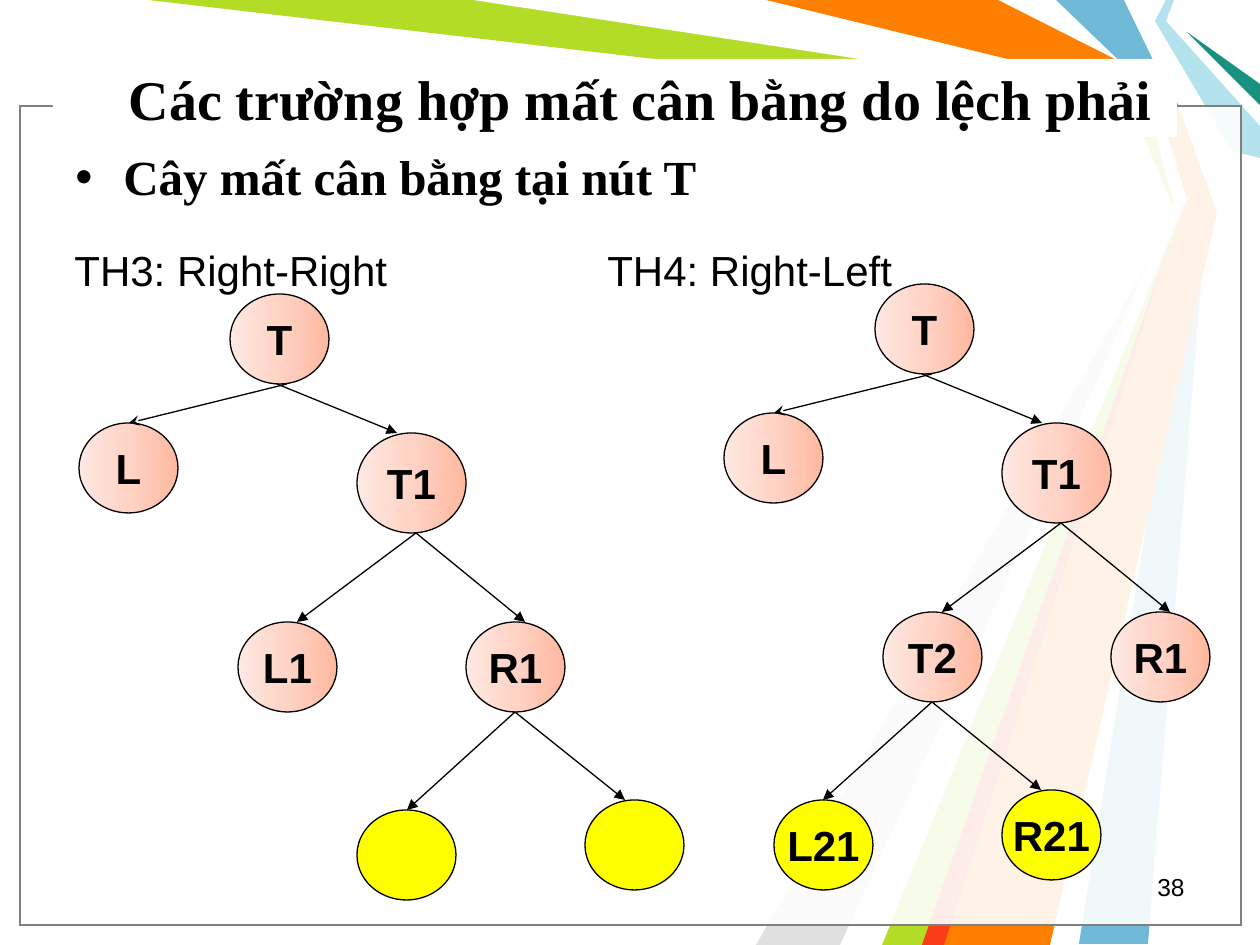
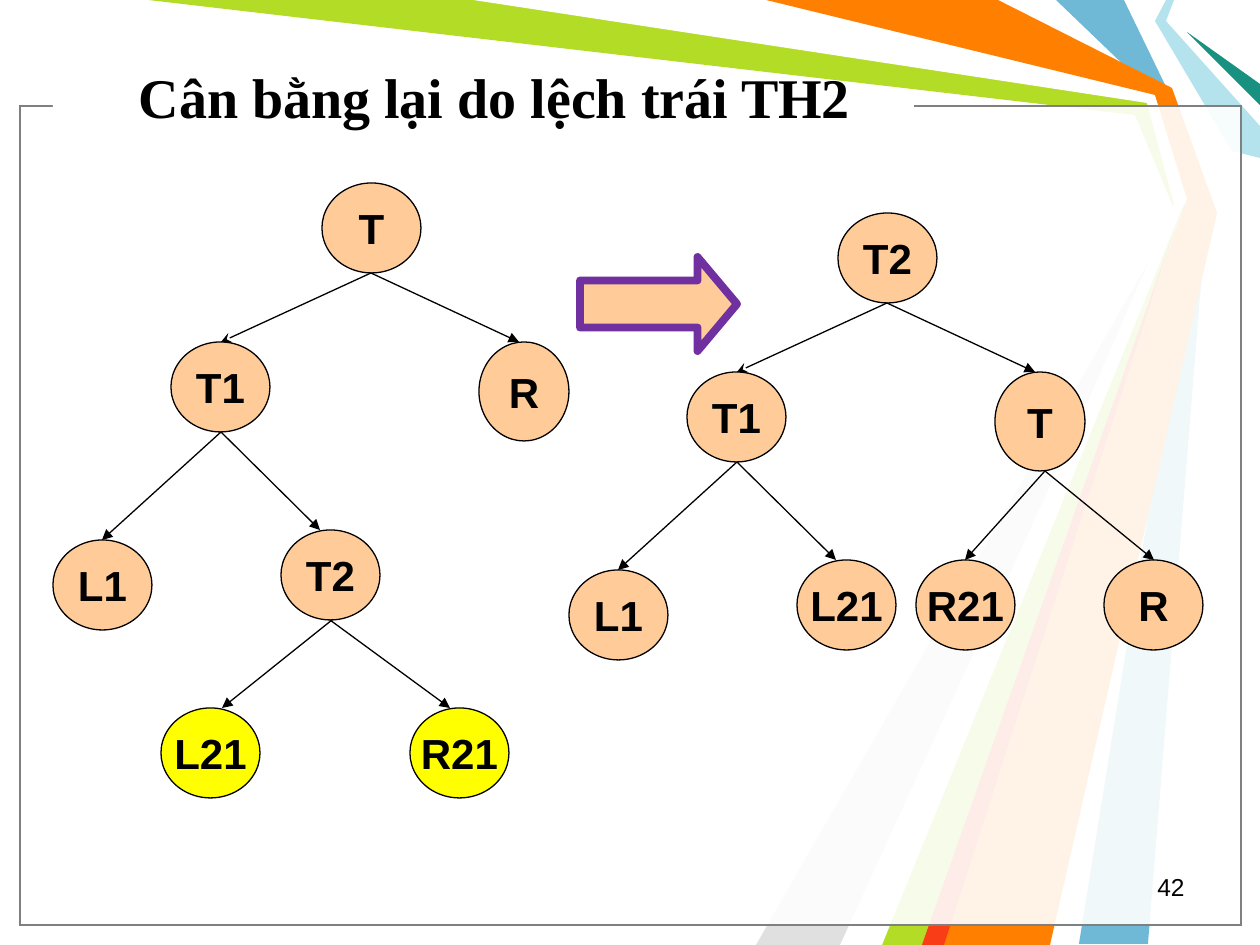
from copy import deepcopy

from lxml import etree
from pptx import Presentation
from pptx.dml.color import RGBColor
from pptx.enum.shapes import MSO_CONNECTOR, MSO_SHAPE
from pptx.enum.text import MSO_ANCHOR, MSO_AUTO_SIZE, PP_ALIGN
from pptx.oxml.ns import qn
from pptx.util import Emu, Pt

LINE = MSO_CONNECTOR.STRAIGHT
RECT, OVAL, ARROW = MSO_SHAPE.RECTANGLE, MSO_SHAPE.OVAL, MSO_SHAPE.RIGHT_ARROW
LEFT, CENTER, RIGHT = PP_ALIGN.LEFT, PP_ALIGN.CENTER, PP_ALIGN.RIGHT
MIDDLE = MSO_ANCHOR.MIDDLE
FIXED = MSO_AUTO_SIZE.NONE

PX = 914400 / 126
WIDE, HIGH = 1260, 945
SANS, SERIF = "Arial", "Times New Roman"
COLORS = {
    "black": "000000", "white": "FFFFFF", "grey": "808080", "silver": "E0E0E0",
    "blue": "6FB9D7", "green": "B3DC27", "cyan": "B4E3EE", "teal": "189180",
    "orange": "FF7F00", "red": "F93D17", "yellow": "FFFF00", "peach": "FFCC99",
    "purple": "7030A0", "pale": "FFE9E3", "pink": "FFD3C5", "coral": "FFB8A0",
}

# Ribbons of the backdrop, from back to front
RIBBONS = [
    ("blue", [(1124, 0), (1171, 97), (1207, 210), (1148, 944), (1079, 944),
              (1197, 210), (1155, 95), (1056, 0)]),
    ("green", [(148, 0), (483, 0), (1152, 98), (1187, 213), (935, 945),
               (872, 945), (1178, 218), (1135, 115)]),
    ("silver", [(840, 945), (1168, 228), (756, 945)]),
    ("white", [(473, 0), (1147, 103), (1174, 204), (851, 945), (882, 945),
               (1186, 199), (1155, 95), (756, 0)]),
    ("cyan", [(1166, 0), (1155, 21), (1232, 151), (1260, 158), (1260, 126),
              (1166, 21), (1174, 0)]),
    ("teal", [(1260, 105), (1187, 32), (1260, 84)]),
    ("orange", [(766, 0), (998, 0), (1172, 88), (1217, 213), (1050, 945),
                (924, 945), (1187, 199), (1155, 95)]),
    ("red", [(922, 945), (1174, 231), (944, 945)]),
]

# Trunks: node places, and links as parent, start x, child, end x
NODE = (99, 90)
HEAVY = [(230, 294, *NODE), (357, 433, 109, 100), (79, 423, *NODE),
         (466, 622, *NODE), (238, 622, *NODE)]
HEAVY_LINKS = [(0, 287, 2, 129), (0, 277, 1, 397), (1, 416, 3, 525), (1, 416, 4, 297)]
LIGHT = [(322, 183, *NODE), (479, 342, 90, 99), (171, 342, *NODE),
         (281, 530, *NODE), (53, 540, *NODE)]
LIGHT_LINKS = [(0, 371, 2, 221), (0, 371, 1, 519), (2, 221, 3, 320), (2, 221, 4, 102)]


def px(*sizes):
    return [Emu(round(size * PX)) for size in sizes]


def rgb(name):
    return RGBColor.from_string(COLORS[name])


def paint(shape, fill, line=None, width=0.75):
    shape.shadow.inherit = False
    shape.fill.solid()
    shape.fill.fore_color.rgb = rgb(fill)
    if line:
        shape.line.color.rgb = rgb(line)
        shape.line.width = Pt(width)
    else:
        shape.line.fill.background()


def fade(shape):
    """Blend from pale at the left to coral at the right."""
    shape.fill.gradient()
    shape.fill.gradient_angle = 0
    for stop, name in zip(shape.fill.gradient_stops, ("pale", "coral")):
        stop.color.rgb = rgb(name)
    first = shape.element.spPr.find(".//" + qn("a:gs"))
    mid = deepcopy(first)
    mid.set("pos", "50000")
    mid[0].set("val", COLORS["pink"])
    first.addnext(mid)


def style(frame, text, size, font=SANS, bold=False, align=LEFT):
    para = frame.paragraphs[0]
    para.text = text
    para.alignment = align
    for run in para.runs:
        run.font.size, run.font.name, run.font.bold = Pt(size), font, bold
        run.font.color.rgb = rgb("black")


def box(slide, place, text, size, **look):
    frame = slide.shapes.add_textbox(*px(*place)).text_frame
    frame.word_wrap = True
    style(frame, text, size, **look)
    return frame


def bullet(slide, text):
    frame = box(slide, (63, 136, 1134, 708), text, 28, font=SERIF, bold=True)
    frame.margin_top = px(11)[0]
    props = frame.paragraphs[0]._p.get_or_add_pPr()
    indent = px(48)[0]
    props.set("marL", str(indent))
    props.set("indent", str(-indent))
    etree.SubElement(props, qn("a:buFont"), typeface=SANS)
    etree.SubElement(props, qn("a:buChar"), char="•")


def node(slide, place, label, fill):
    oval = slide.shapes.add_shape(OVAL, *px(*place))
    paint(oval, "peach" if fill == "fade" else fill, "black")
    if fill == "fade":
        fade(oval)
    if label:
        frame = oval.text_frame
        frame.word_wrap = False
        frame.vertical_anchor = MIDDLE
        style(frame, label, 24, bold=True, align=CENTER)


def link(slide, start, end, head):
    line = slide.shapes.add_connector(LINE, *px(*start, *end))
    line.line.color.rgb = rgb("black")
    line.line.width = Pt(0.75)
    etree.SubElement(line.line._get_or_add_ln(), qn("a:tailEnd"), type=head)
    etree.SubElement(line.element.spPr, qn("a:effectLst"))


def tree(slide, trunk, links, leaves, labels, fill, tip, move=(0, 0)):
    """Draw a trunk with its two leaves, shifted by move."""
    dx, dy = move
    spots = trunk + [(*leaf, *NODE) for leaf in leaves]
    spots = [(x + dx, y + dy, w, h) for x, y, w, h in spots]
    for i, (spot, label) in enumerate(zip(spots, labels)):
        node(slide, spot, label, fill if i < len(trunk) else tip)
    for i, (up, x1, down, x2) in enumerate(links):
        base = spots[up][1] + spots[up][3]
        link(slide, (x1 + dx, base), (x2 + dx, spots[down][1]),
             "triangle" if i else "stealth")


def panel(slide, line):
    rect = slide.shapes.add_shape(RECT, *px(20, 106, 1221, 819))
    paint(rect, "white", line)
    color = rect.element.spPr.find(".//" + qn("a:srgbClr"))
    etree.SubElement(color, qn("a:alpha"), val="69000")


def backdrop(slide):
    """Draw the ribbons and frame, then hand them to the layout."""
    start = len(slide.shapes)
    for color, points in RIBBONS:
        pen = slide.shapes.build_freeform(*points[0], scale=PX)
        pen.add_line_segments(points[1:], close=True)
        paint(pen.convert_to_shape(), color)
    for line in ("black", "grey"):
        panel(slide, line)
    paint(slide.shapes.add_shape(RECT, *px(53, 93, 861, 21)), "white")
    shared = slide.slide_layout.shapes.element
    for i, shape in enumerate(list(slide.shapes)[start:]):
        shared.insert(2 + i, shape.element)


def page(deck, title, place, number):
    slide = deck.slides.add_slide(deck.slide_layouts[5])
    head = slide.shapes.title
    head.left, head.top, head.width, head.height = px(*place)
    frame = head.text_frame
    frame.auto_size = FIXED
    frame.vertical_anchor = MIDDLE
    style(frame, title, 32, font=SERIF, bold=True)
    box(slide, (903, 866, 294, 42), number, 14, align=RIGHT)
    return slide


def cases(deck):
    slide = page(deck, "Các trường hợp mất cân bằng do lệch phải",
                 (116, 59, 1061, 78), "38")
    paint(slide.shapes.title, "white")
    bullet(slide, "Cây mất cân bằng tại nút T")
    tree(slide, HEAVY, HEAVY_LINKS + [(3, 515, 6, 407), (3, 515, 5, 625)],
         [(585, 800), (357, 810)], ["T", "T1", "L", "R1", "L1", "", ""],
         "fade", "yellow")
    tree(slide, HEAVY, HEAVY_LINKS + [(4, 287, 6, 178), (4, 287, 5, 396)],
         [(357, 800), (129, 810)], ["T", "T1", "L", "R1", "T2", "R21", "L21"],
         "fade", "yellow", (645, -10))
    for x, wide, text in [(62, 348, "TH3: Right-Right"), (595, 328, "TH4: Right-Left")]:
        box(slide, (x, 234, wide, 63), text, 24).margin_top = px(11)[0]
    return slide


def fix(deck):
    slide = page(deck, "Cân bằng lại do lệch trái TH2", (126, 63, 868, 67), "42")
    tree(slide, LIGHT, LIGHT_LINKS + [(3, 332, 6, 222), (3, 330, 5, 450)],
         [(410, 708), (161, 708)], ["T", "R", "T1", "T2", "L1", "R21", "L21"],
         "peach", "yellow")
    tree(slide, LIGHT, LIGHT_LINKS + [(1, 529, 6, 449), (1, 529, 5, 638)],
         [(588, 530), (400, 530)], ["T2", "T", "T1", "L21", "L1", "R", "R21"],
         "peach", "peach", (516, 30))
    arrow = slide.shapes.add_shape(ARROW, *px(580, 257, 157, 94))
    arrow.adjustments[0], arrow.adjustments[1] = 0.5, 0.42
    paint(arrow, "peach", "purple", 4.5)


def main():
    deck = Presentation()
    deck.slide_width, deck.slide_height = px(WIDE, HIGH)
    backdrop(cases(deck))
    fix(deck)
    deck.save("out.pptx")


if __name__ == "__main__":
    main()
